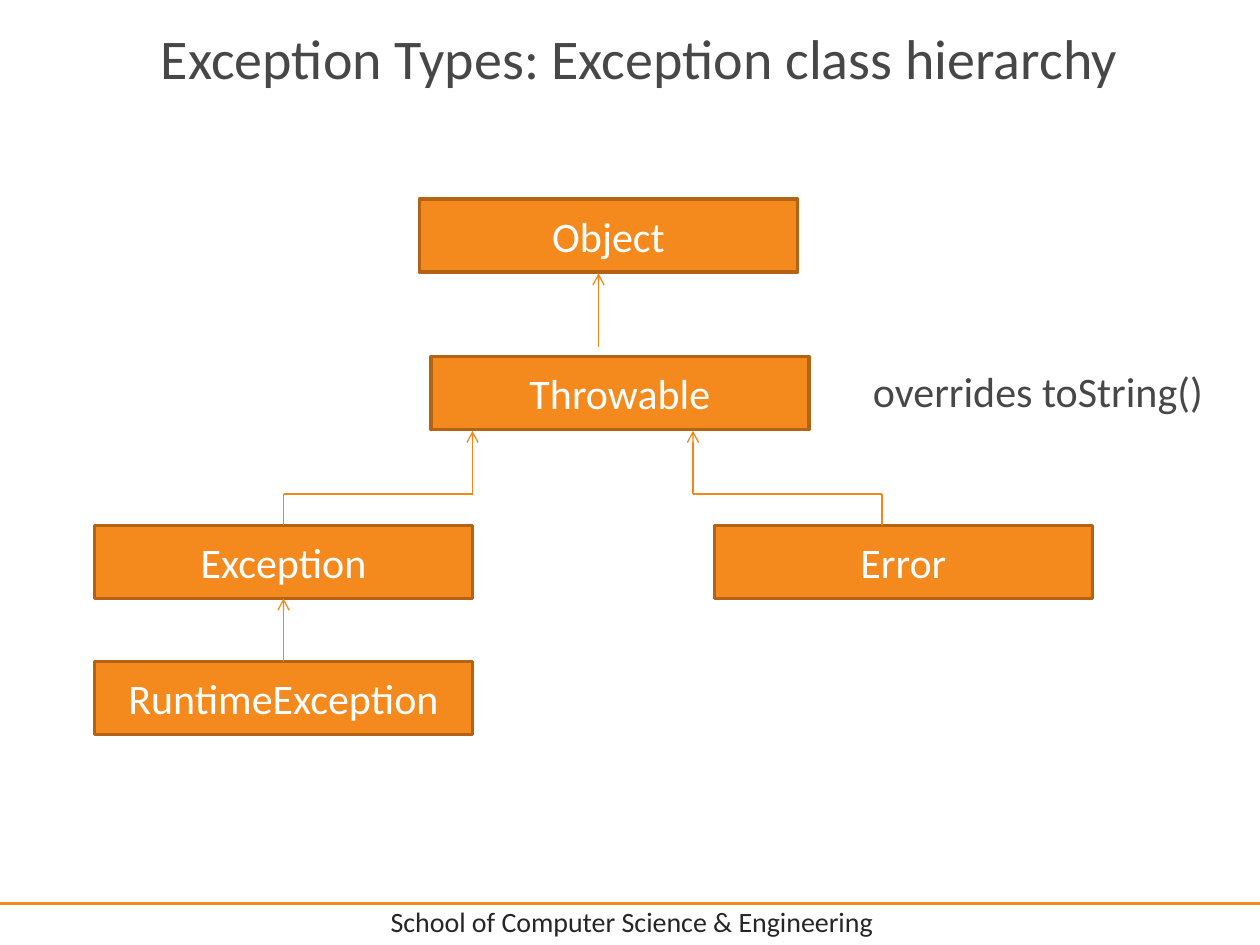
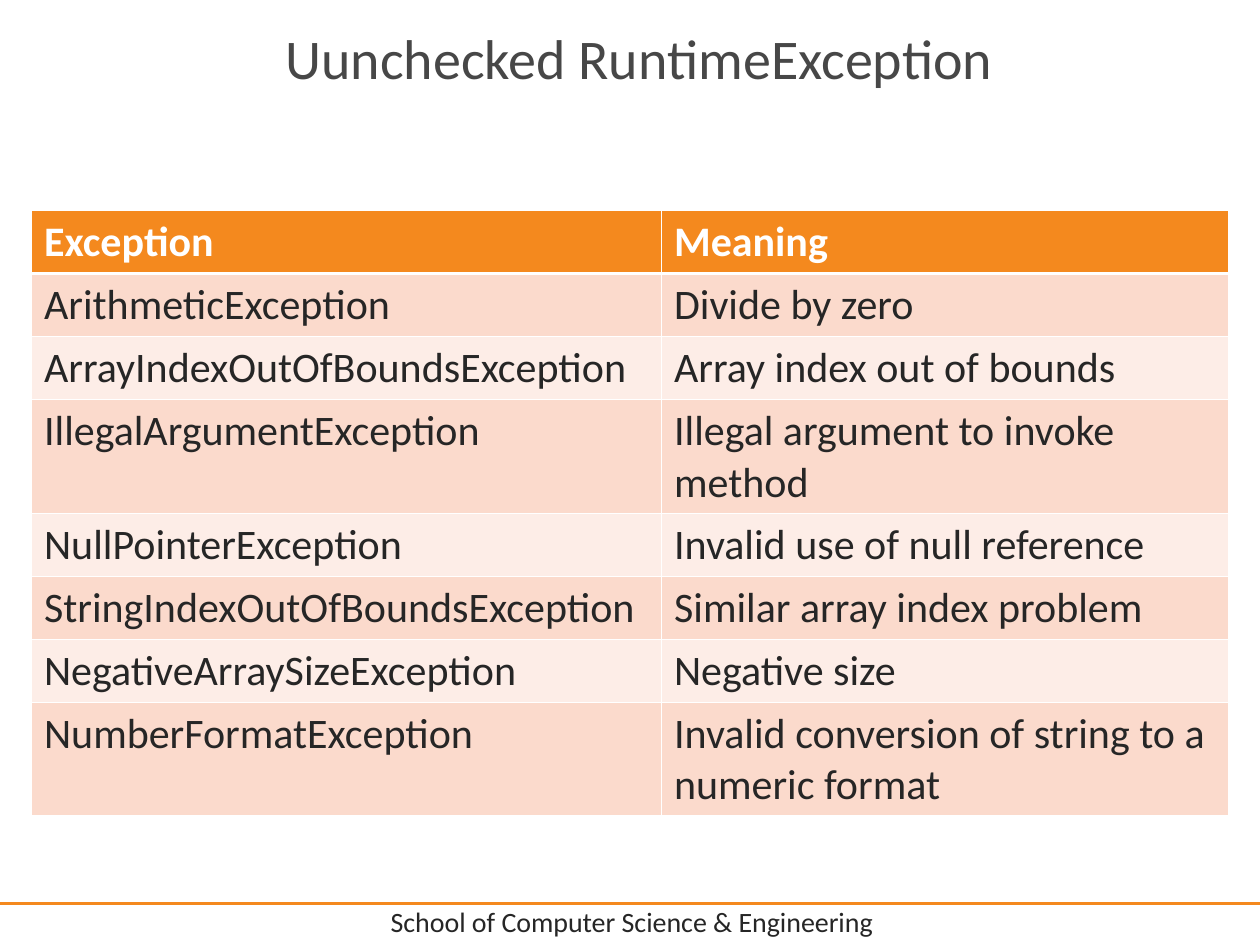
from dataclasses import dataclass
from typing import Optional

from lxml.etree import SubElement
from pptx import Presentation
from pptx.dml.color import RGBColor as RGB
from pptx.enum.shapes import MSO_CONNECTOR as Conn, MSO_SHAPE as Geo
from pptx.enum.text import MSO_ANCHOR as Anchor, PP_ALIGN as Align
from pptx.oxml.ns import qn
from pptx.util import Inches, Pt


@dataclass(frozen=True)
class Theme:
    face: str = "Calibri"
    orange: str = "F4891E"
    edge: str = "B36313"
    arrow: str = "F48618"
    grey: str = "474747"
    ink: str = "262626"
    white: str = "FFFFFF"
    bands: tuple = ("FDEDE7", "FBDACC")
    head: int = 32
    body: int = 24
    foot: int = 16
    rule: float = 2
    thin: float = 0.75


@dataclass(frozen=True)
class Node:
    name: str
    left: float
    top: float


@dataclass(frozen=True)
class Link:
    """A line between two points; start and end name the nodes it is joined to."""
    x1: float
    y1: float
    x2: float
    y2: float
    arrow: bool = False
    start: Optional[str] = None
    end: Optional[str] = None


THEME = Theme()
NODE_W, NODE_H = 3, 0.58
BEND = 3.92
TOP, BOTTOM = 0, 2

NODES = [
    Node("Object", 3.33, 1.58),
    Node("Throwable", 3.42, 2.83),
    Node("Exception", 0.75, 4.17),
    Node("RuntimeException", 0.75, 5.25),
    Node("Error", 5.67, 4.17),
]
LINKS = [
    Link(4.75, 2.75, 4.75, 2.17, arrow=True),
    Link(2.25, 4.17, 2.25, BEND, start="Exception"),
    Link(2.25, BEND, 3.75, BEND),
    Link(3.75, BEND, 3.75, 3.42, arrow=True),
    Link(7, 4.17, 7, BEND),
    Link(7, BEND, 5.5, BEND),
    Link(5.5, BEND, 5.5, 3.42, arrow=True),
    Link(2.25, 5.25, 2.25, 4.75, arrow=True, start="RuntimeException", end="Exception"),
]
ROWS = [
    ("Exception", "Meaning"),
    ("ArithmeticException", "Divide by zero"),
    ("ArrayIndexOutOfBoundsException", "Array index out of bounds"),
    ("IllegalArgumentException", "Illegal argument to invoke method"),
    ("NullPointerException", "Invalid use of null reference"),
    ("StringIndexOutOfBoundsException", "Similar array index problem"),
    ("NegativeArraySizeException", "Negative size"),
    ("NumberFormatException", "Invalid conversion of string to a numeric format"),
]
COLS = (5, 4.5)
ROW_H, TALL_H = 0.5, 0.9
TALL = (3, 7)


def write(frame, text: str, size: int, color: str, align=Align.LEFT, bold: bool = False) -> None:
    frame.text = text
    para = frame.paragraphs[0]
    para.alignment = align
    font = para.font
    font.name, font.size, font.bold = THEME.face, Pt(size), bold
    font.color.rgb = RGB.from_string(color)


def add_text(slide, text: str, at: tuple, size: int, color: str, align=Align.CENTER) -> None:
    frame = slide.shapes.add_textbox(*map(Inches, at)).text_frame
    frame.word_wrap = True
    frame.vertical_anchor = Anchor.MIDDLE
    write(frame, text, size, color, align)


def add_line(slide, ends: tuple, color: str, width: float, arrow: bool = False):
    line = slide.shapes.add_connector(Conn.STRAIGHT, *map(Inches, ends))
    line.line.color.rgb = RGB.from_string(color)
    line.line.width = Pt(width)
    if arrow:
        SubElement(line.line._get_or_add_ln(), qn("a:tailEnd"), type="arrow")
    SubElement(line._element.spPr, qn("a:effectLst"))
    return line


def add_page(deck, title: str):
    """Add a slide with the shared title, rule and footer."""
    slide = deck.slides.add_slide(deck.slide_layouts[6])
    add_line(slide, (-0.08, 7.17, 10.08, 7.17), THEME.orange, THEME.rule)
    add_text(slide, "School of Computer Science & Engineering",
             (0.42, 7.13, 9.19, 0.37), THEME.foot, THEME.ink)
    add_text(slide, title, (0.48, 0.08, 9.19, 0.75), THEME.head, THEME.grey)
    return slide


def add_node(slide, node: Node):
    box = slide.shapes.add_shape(
        Geo.RECTANGLE, *map(Inches, (node.left, node.top, NODE_W, NODE_H)))
    box.shadow.inherit = False
    box.fill.solid()
    box.fill.fore_color.rgb = RGB.from_string(THEME.orange)
    box.line.color.rgb = RGB.from_string(THEME.edge)
    box.line.width = Pt(THEME.rule)
    box.text_frame.vertical_anchor = Anchor.MIDDLE
    write(box.text_frame, node.name, THEME.body, THEME.white, Align.CENTER)
    return box


def add_tree(slide) -> None:
    boxes = {node.name: add_node(slide, node) for node in NODES}
    for link in LINKS:
        ends = (link.x1, link.y1, link.x2, link.y2)
        line = add_line(slide, ends, THEME.arrow, THEME.thin, link.arrow)
        if link.start:
            line.begin_connect(boxes[link.start], TOP)
        if link.end:
            line.end_connect(boxes[link.end], BOTTOM)


def add_border(cell, side: str, width: float) -> None:
    props = cell._tc.get_or_add_tcPr()
    edge = SubElement(props, qn(f"a:ln{side}"), w=str(Pt(width)))
    fill = SubElement(edge, qn("a:solidFill"))
    SubElement(fill, qn("a:srgbClr"), val=THEME.white)


def add_grid(slide) -> None:
    high = [TALL_H if r in TALL else ROW_H for r in range(len(ROWS))]
    at = (0.25, 1.67, sum(COLS), sum(high))
    grid = slide.shapes.add_table(len(ROWS), len(COLS), *map(Inches, at)).table
    for col, width in zip(grid.columns, COLS):
        col.width = Inches(width)
    for r, (row, texts) in enumerate(zip(grid.rows, ROWS)):
        row.height = Inches(high[r])
        head = r == 0
        for cell, text in zip(row.cells, texts):
            for side in "LRTB":
                thick = (r, side) in ((0, "B"), (1, "T"))
                add_border(cell, side, 1.47 if thick else 0.45)
            cell.fill.solid()
            cell.fill.fore_color.rgb = RGB.from_string(
                THEME.orange if head else THEME.bands[r % 2])
            write(cell.text_frame, text, THEME.body,
                  THEME.white if head else THEME.ink, bold=head)


def main() -> None:
    deck = Presentation()
    deck.slide_width, deck.slide_height = Inches(10), Inches(7.5)
    tree = add_page(deck, "Exception Types: Exception class hierarchy")
    add_text(tree, "overrides toString()", (6.83, 2.8, 2.95, 0.6),
             THEME.body, THEME.grey, Align.LEFT)
    add_tree(tree)
    add_grid(add_page(deck, "Uunchecked RuntimeException"))
    deck.save("out.pptx")


if __name__ == "__main__":
    main()
